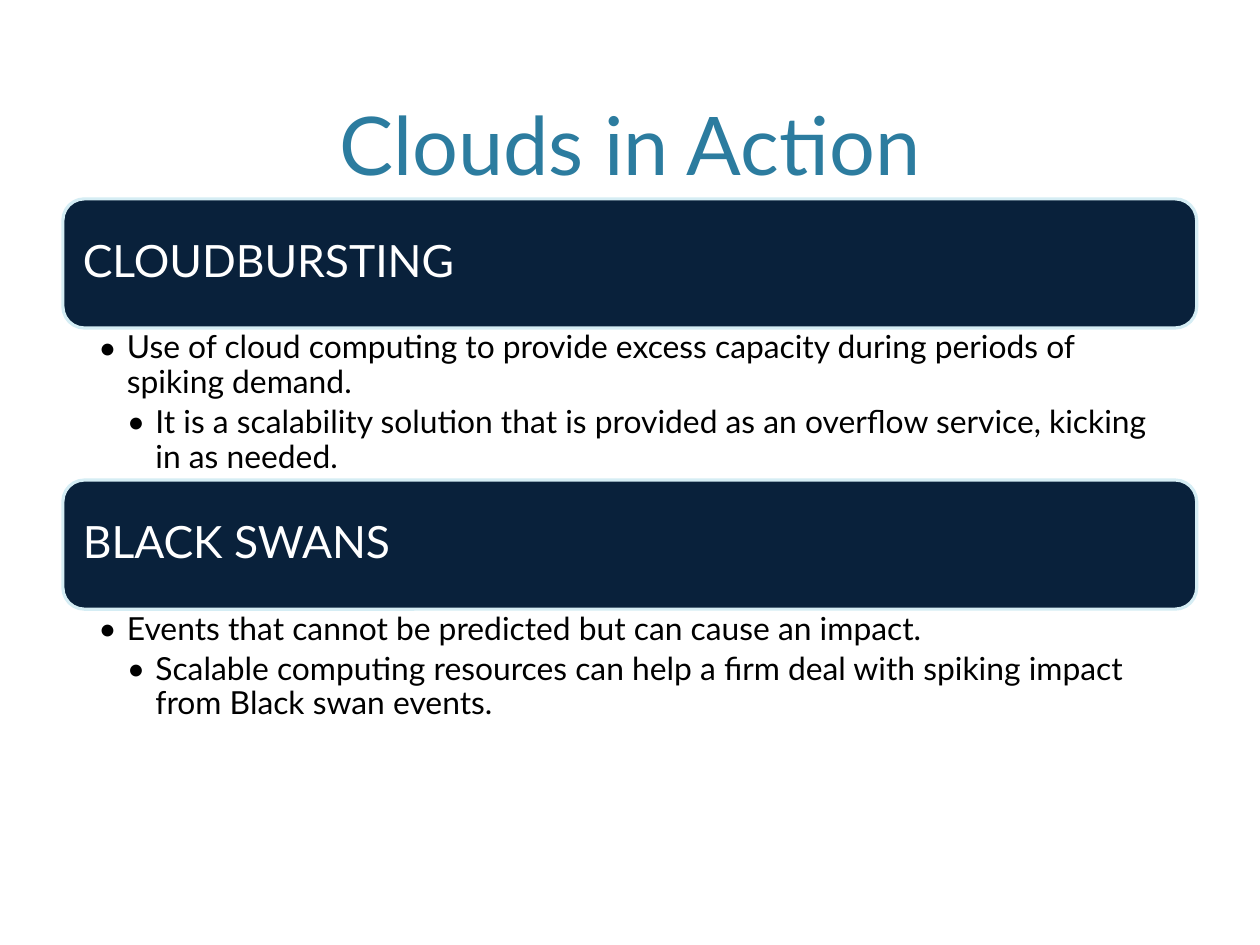
from lxml import etree
from pptx import Presentation
from pptx.dml.color import RGBColor
from pptx.enum.shapes import MSO_SHAPE
from pptx.enum.text import MSO_ANCHOR, PP_ALIGN
from pptx.oxml.ns import qn
from pptx.util import Inches, Pt

ROUNDED = MSO_SHAPE.ROUNDED_RECTANGLE
CENTER, LEFT = PP_ALIGN.CENTER, PP_ALIGN.LEFT
TOP, MIDDLE, BOTTOM = MSO_ANCHOR.TOP, MSO_ANCHOR.MIDDLE, MSO_ANCHOR.BOTTOM

COLORS = {"title": "2C7C9F", "band": "09213B", "border": "D5EDF4",
          "heading": "FFFFFF", "body": "000000"}
FONT = "Lato"
CM_PER_INCH = 2.54
BAND_LEFT, BAND_WIDTH, BAND_HEIGHT = 0.55, 9.92, 1.13

# Heading, band top, height of the points below, points by level
TOPICS = [
    ("CLOUDBURSTING", 1.74, 1.34, [
        "Use of cloud computing to provide excess capacity during periods of spiking demand.",
        "It is a scalability solution that is provided as an overflow service, kicking in as needed.",
    ]),
    ("BLACK SWANS", 4.2, 1.06, [
        "Events that cannot be predicted but can cause an impact.",
        "Scalable computing resources can help a firm deal with spiking impact from Black swan events.",
    ]),
]


def set_frame(frame, anchor, left, top, right, bottom):
    frame.word_wrap = True
    frame.vertical_anchor = anchor
    frame.margin_left, frame.margin_top = Inches(left), Inches(top)
    frame.margin_right, frame.margin_bottom = Inches(right), Inches(bottom)


def write(paragraph, text, size, color, align=LEFT):
    paragraph.alignment = align
    run = paragraph.add_run()
    run.text = text
    run.font.name = FONT
    run.font.size = Pt(size)
    run.font.color.rgb = RGBColor.from_string(COLORS[color])


# The page is 28 by 21 cm
prs = Presentation()
prs.slide_width = Inches(28 / CM_PER_INCH)
prs.slide_height = Inches(21 / CM_PER_INCH)
slide = prs.slides.add_slide(prs.slide_layouts[6])

# Title
title = slide.shapes.add_textbox(Inches(0.66), Inches(0.13), Inches(9.7), Inches(1.61))
set_frame(title.text_frame, BOTTOM, 0.11, 0.06, 0.11, 0.06)
write(title.text_frame.paragraphs[0], "Clouds in Action", 51, "title", CENTER)

for heading, top, points_height, points in TOPICS:
    # Heading band
    band = slide.shapes.add_shape(ROUNDED, Inches(BAND_LEFT), Inches(top),
                                  Inches(BAND_WIDTH), Inches(BAND_HEIGHT))
    band.shadow.inherit = False
    band.fill.solid()
    band.fill.fore_color.rgb = RGBColor.from_string(COLORS["band"])
    band.line.color.rgb = RGBColor.from_string(COLORS["border"])
    band.line.width = Pt(2)
    # The rounded corners add their own 0.06 inch to these insets
    set_frame(band.text_frame, MIDDLE, 0.12, 0.12, 0.12, 0.12)
    band_line = band.text_frame.paragraphs[0]
    band_line.line_spacing = 0.9
    write(band_line, heading, 28, "heading")

    # Bulleted points, each one level deeper
    details = slide.shapes.add_textbox(Inches(BAND_LEFT), Inches(top + BAND_HEIGHT),
                                       Inches(BAND_WIDTH), Inches(points_height))
    frame = details.text_frame
    set_frame(frame, TOP, 0.31, 0.03, 0.16, 0.03)
    for level, point in enumerate(points, start=1):
        paragraph = frame.paragraphs[0] if level == 1 else frame.add_paragraph()
        properties = paragraph._p.get_or_add_pPr()
        properties.set("marL", str(Inches(0.25 * level)))
        properties.set("indent", str(Inches(-0.25)))
        etree.SubElement(properties, qn("a:buFont")).set("typeface", FONT)
        etree.SubElement(properties, qn("a:buChar")).set("char", "•")
        paragraph.level = level
        paragraph.line_spacing = 0.9
        paragraph.space_after = Pt(4)
        write(paragraph, point, 20, "body")

prs.save("out.pptx")
